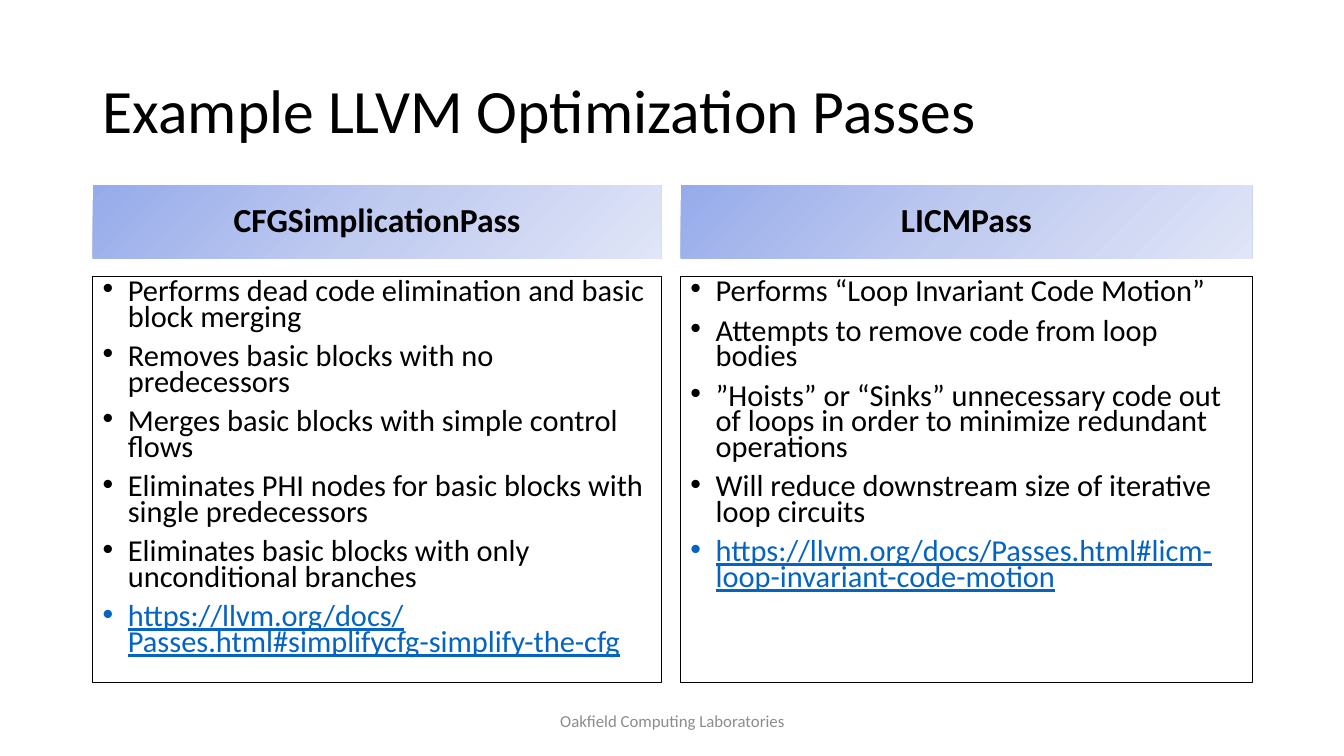
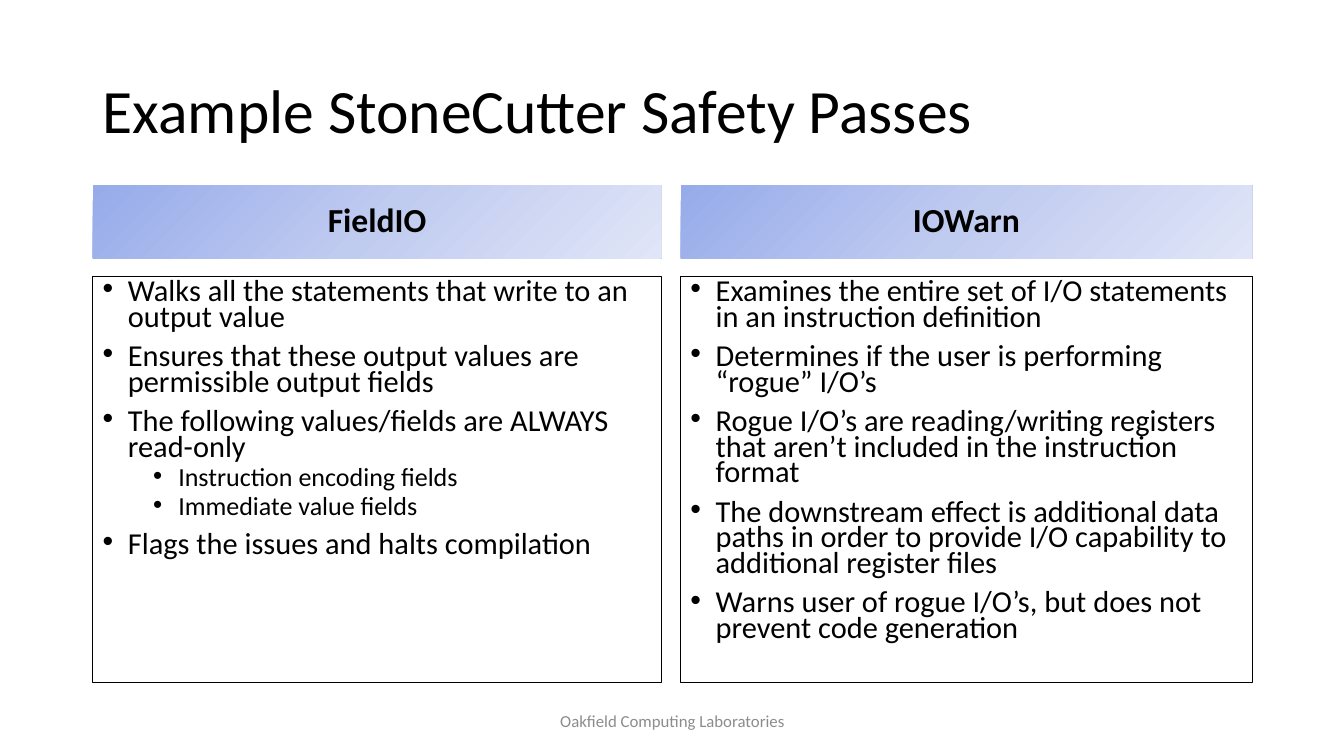
from dataclasses import dataclass

from lxml import etree
from pptx import Presentation
from pptx import util as u
from pptx.dml.color import RGBColor
from pptx.enum import shapes, text
from pptx.oxml import ns


@dataclass(frozen=True)
class Theme:
    font: str = "Calibri"
    ink: str = "000000"
    link: str = "0563C1"
    muted: str = "8C8C8C"
    band: tuple = ((0, "96ABEA"), (50, "C0CBF0"), (100, "E0E5F7"))
    band_angle: int = 45
    title_size: float = 44
    heading_size: float = 24
    bullet_sizes: tuple = (21.7, 18.6)
    bullet_gaps: tuple = (10, 5)
    footer_size: float = 12
    border: float = 0.75


THEME = Theme()
WIDTH, HEIGHT = 13.33, 7.5
FULL = (0.92, 11.5)
COLUMNS = ((0.92, 5.64), (6.75, 5.67))
FOOTER_COLUMN = (4.42, 4.5)
TITLE_ROW, HEADING_ROW, BODY_ROW, FOOTER_ROW = (0.4, 1.45), (1.84, 0.72), (2.74, 4.03), (6.95, 0.4)
FOOTER = "Oakfield Computing Laboratories"

SLIDES = (
    ("Example LLVM Optimization Passes", (
        ("CFGSimplicationPass", (
            "Performs dead code elimination and basic block merging",
            "Removes basic blocks with no predecessors",
            "Merges basic blocks with simple control flows",
            "Eliminates PHI nodes for basic blocks with single predecessors",
            "Eliminates basic blocks with only unconditional branches",
            "https://llvm.org/docs/Passes.html#simplifycfg-simplify-the-cfg",
        )),
        ("LICMPass", (
            "Performs “Loop Invariant Code Motion”",
            "Attempts to remove code from loop bodies",
            "”Hoists” or “Sinks” unnecessary code out of loops in order to minimize redundant operations",
            "Will reduce downstream size of iterative loop circuits",
            "https://llvm.org/docs/Passes.html#licm-loop-invariant-code-motion",
        )),
    )),
    ("Example StoneCutter Safety Passes", (
        ("FieldIO", (
            "Walks all the statements that write to an output value",
            "Ensures that these output values are permissible output fields",
            "The following values/fields are ALWAYS read-only",
            ("Instruction encoding fields", "Immediate value fields"),
            "Flags the issues and halts compilation",
        )),
        ("IOWarn", (
            "Examines the entire set of I/O statements in an instruction definition",
            "Determines if the user is performing “rogue” I/O’s",
            "Rogue I/O’s are reading/writing registers that aren’t included in the instruction format",
            "The downstream effect is additional data paths in order to provide I/O capability "
            "to additional register files",
            "Warns user of rogue I/O’s, but does not prevent code generation",
        )),
    )),
)


def cell(column, row):
    return [u.Inches(length) for length in (column[0], row[0], column[1], row[1])]


def add_bullet(para, level):
    para.level = level
    properties = para._p.get_or_add_pPr()
    properties.set("marL", str(u.Inches(0.25 + 0.5 * level)))
    properties.set("indent", str(-u.Inches(0.25)))
    etree.SubElement(properties, ns.qn("a:buFont")).set("typeface", "Arial")
    etree.SubElement(properties, ns.qn("a:buChar")).set("char", "•")


def write(box, content, *, size, color=THEME.ink, bold=False, underline=False,
          align=text.PP_ALIGN.LEFT, spacing=0.9, before=0, level=None):
    frame = box.text_frame
    first = not frame.paragraphs[0].runs
    para = frame.paragraphs[0] if first else frame.add_paragraph()
    if level is not None:
        add_bullet(para, level)
    para.alignment = align
    para.line_spacing = spacing
    para.space_before = u.Pt(0 if first else before)
    span = para.add_run()
    span.text = content
    span.font.name = THEME.font
    span.font.size = u.Pt(size)
    span.font.bold = bold
    span.font.underline = underline
    span.font.color.rgb = RGBColor.from_string(color)


def set_anchor(box, anchor):
    box.text_frame.word_wrap = True
    box.text_frame.vertical_anchor = anchor


def add_label(page, column, row, content, **style):
    box = page.shapes.add_textbox(*cell(column, row))
    set_anchor(box, text.MSO_ANCHOR.MIDDLE)
    write(box, content, **style)


def add_panel(page, column, row, anchor):
    box = page.shapes.add_shape(shapes.MSO_SHAPE.RECTANGLE, *cell(column, row))
    box.shadow.inherit = False
    set_anchor(box, anchor)
    return box


def fill_band(box):
    box.fill.gradient()
    box.fill.gradient_angle = 360 - THEME.band_angle
    stops = box._element.spPr.find(ns.qn("a:gradFill")).find(ns.qn("a:gsLst"))
    for stop in list(stops):
        stops.remove(stop)
    for percent, color in THEME.band:
        stop = etree.SubElement(stops, ns.qn("a:gs"), pos=str(percent * 1000))
        etree.SubElement(stop, ns.qn("a:srgbClr"), val=color)


def add_heading(page, column, content):
    box = add_panel(page, column, HEADING_ROW, text.MSO_ANCHOR.MIDDLE)
    fill_band(box)
    box.line.fill.background()
    write(box, content, size=THEME.heading_size, bold=True, align=text.PP_ALIGN.CENTER)


def write_bullets(box, items, level=0):
    for item in items:
        if isinstance(item, tuple):
            write_bullets(box, item, level + 1)
            continue
        is_link = item.startswith("https://")
        write(box, item, size=THEME.bullet_sizes[level], spacing=0.7,
              before=THEME.bullet_gaps[level], level=level,
              color=THEME.link if is_link else THEME.ink, underline=is_link)


def add_bullet_panel(page, column, items):
    box = add_panel(page, column, BODY_ROW, text.MSO_ANCHOR.TOP)
    box.fill.background()
    box.line.color.rgb = RGBColor.from_string(THEME.ink)
    box.line.width = u.Pt(THEME.border)
    write_bullets(box, items)


def add_comparison(deck, title, passes):
    page = deck.slides.add_slide(deck.slide_layouts[6])
    add_label(page, FULL, TITLE_ROW, title, size=THEME.title_size)
    for column, (heading, items) in zip(COLUMNS, passes):
        add_heading(page, column, heading)
        add_bullet_panel(page, column, items)
    add_label(page, FOOTER_COLUMN, FOOTER_ROW, FOOTER, size=THEME.footer_size,
              color=THEME.muted, align=text.PP_ALIGN.CENTER, spacing=1.0)


def main():
    deck = Presentation()
    deck.slide_width = u.Inches(WIDTH)
    deck.slide_height = u.Inches(HEIGHT)
    for title, passes in SLIDES:
        add_comparison(deck, title, passes)
    deck.save("out.pptx")


if __name__ == "__main__":
    main()
